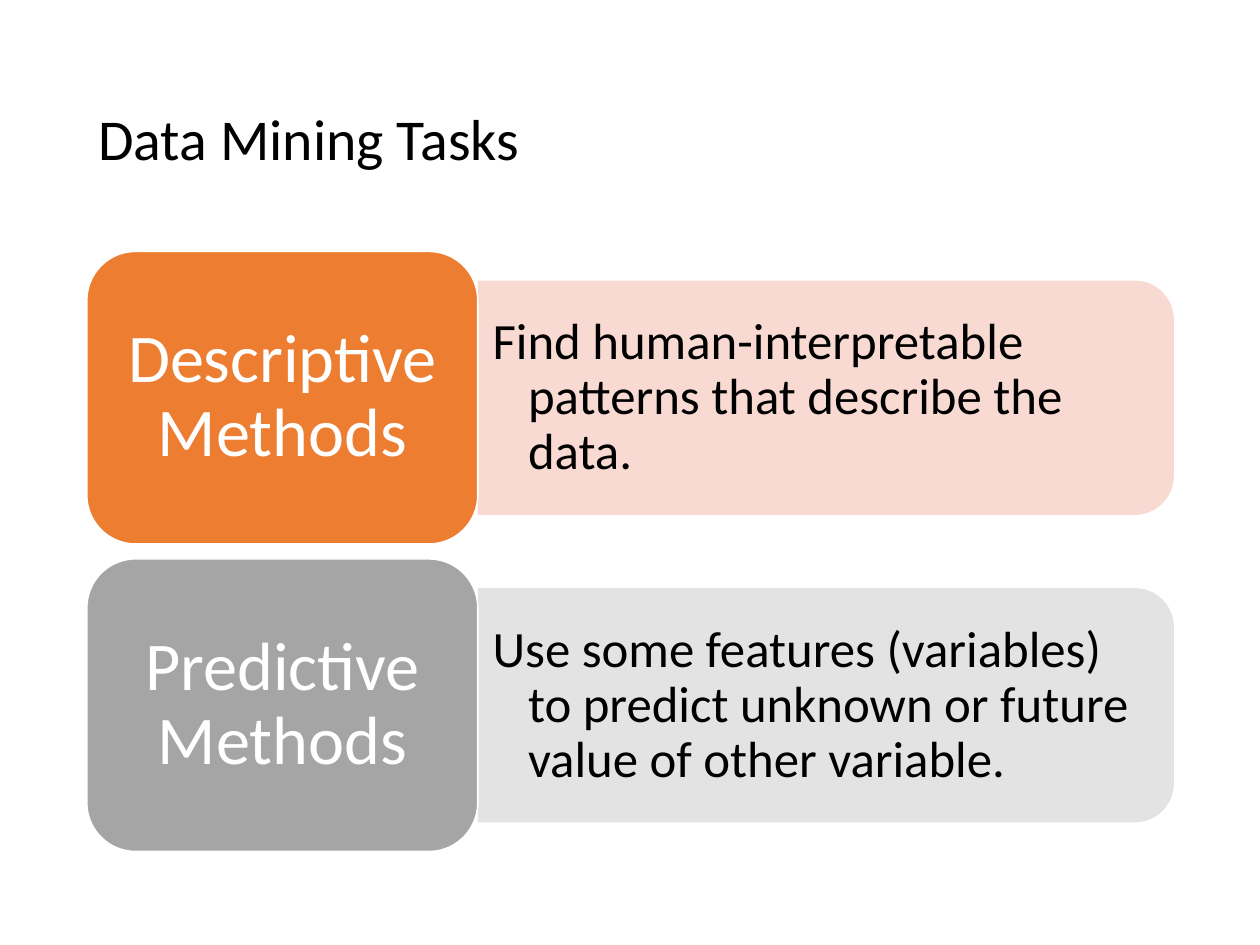
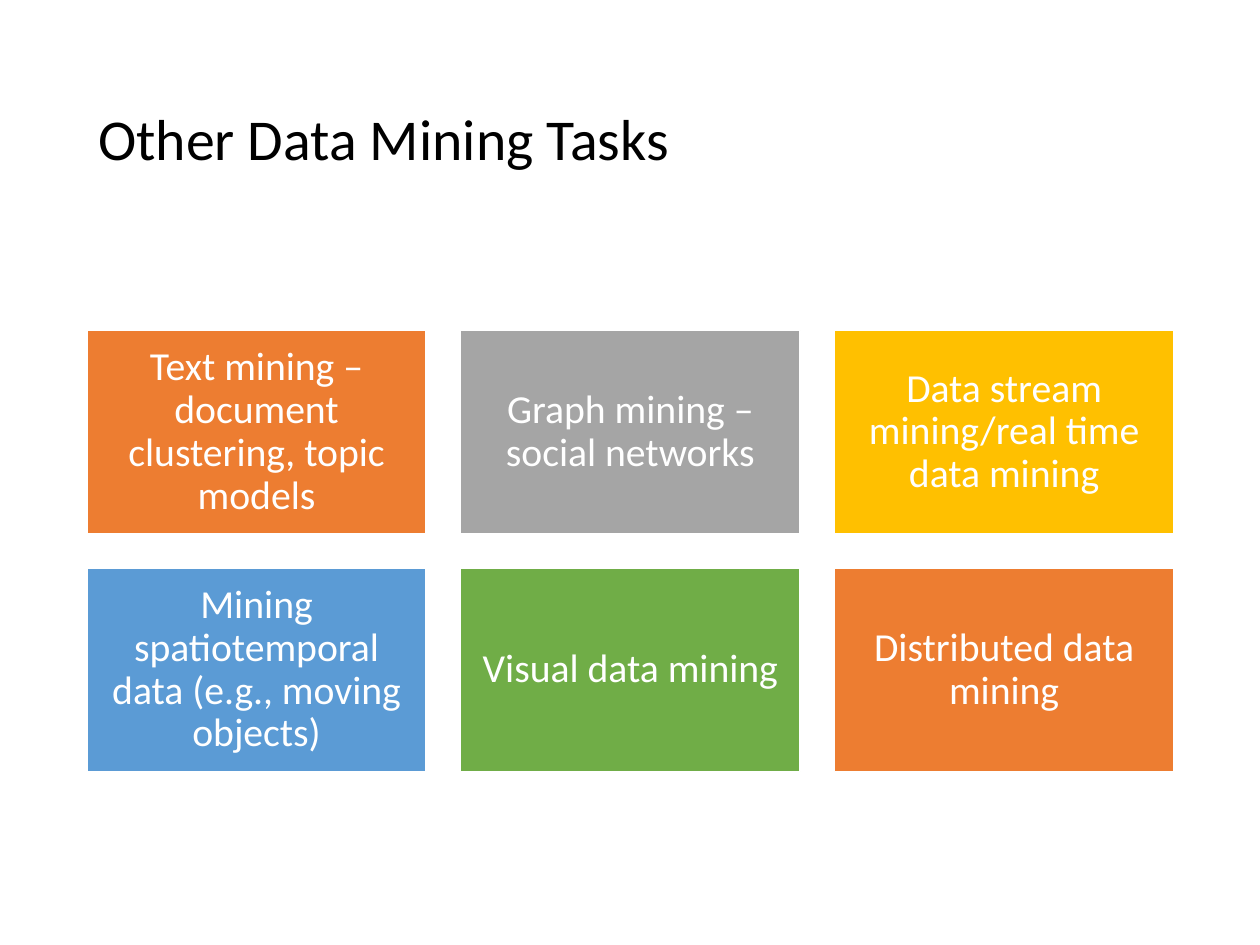
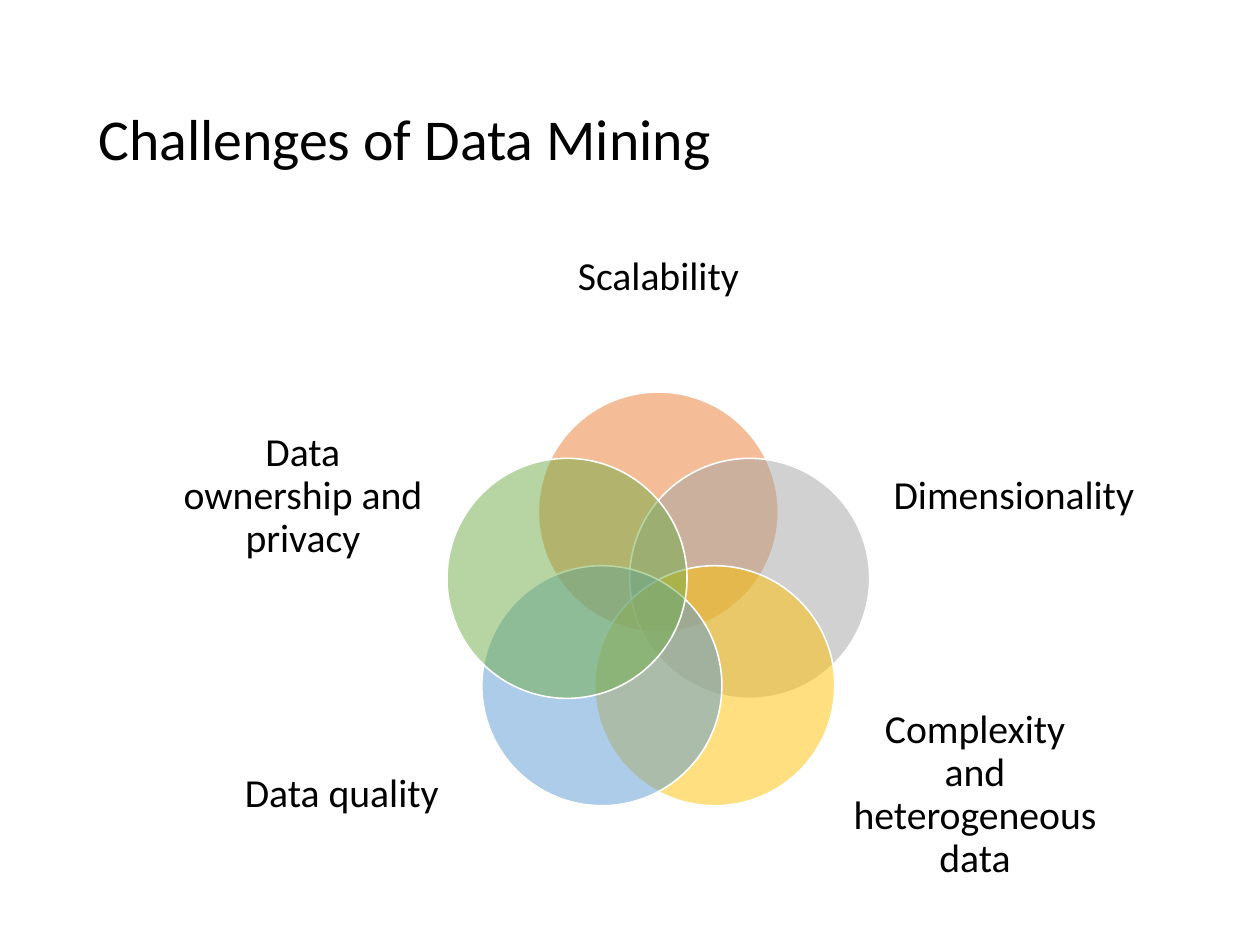
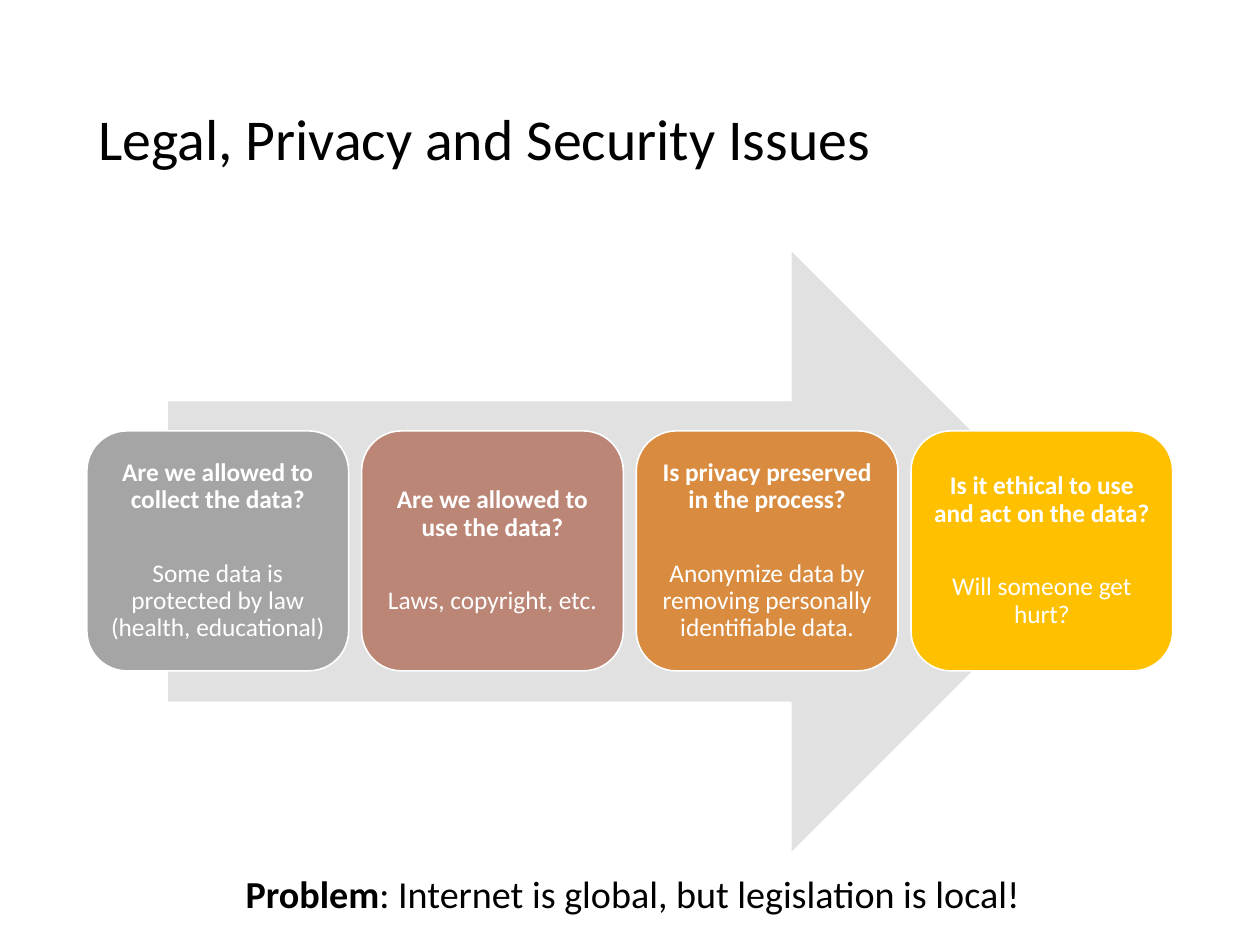
from math import cos, radians, sin

from lxml.etree import SubElement
from pptx import Presentation
from pptx.dml.color import RGBColor
from pptx.enum.shapes import MSO_SHAPE
from pptx.enum.text import MSO_ANCHOR, MSO_AUTO_SIZE, PP_ALIGN
from pptx.oxml.ns import qn
from pptx.util import Cm, Inches, Pt

FONT = "Calibri"
BLACK, WHITE = "000000", "FFFFFF"
ORANGE, GRAY, GOLD, BLUE, GREEN = "ED7D31", "A5A5A5", "FFC000", "5B9BD5", "70AD47"
LIGHT_ORANGE, LIGHT_GRAY = "F8D7CE", "E1E1E1"
BROWN, AMBER = "BB8676", "D98C3F"
LEFT, CONTENT_WIDTH = 0.76, 9.5


def paint(fill, color, alpha=100):
    """Set a solid fill from a hex string, with opacity in percent."""
    fill.solid()
    fill.fore_color.rgb = RGBColor.from_string(color)
    if alpha < 100:
        tone = fill._xPr.find(qn("a:solidFill"))[0]
        SubElement(tone, qn("a:alpha")).set("val", str(alpha * 1000))


def style_run(r, size, color, bold=False):
    """Give a run its font."""
    r.font.name, r.font.size, r.font.bold = FONT, Pt(size), bold
    r.font.color.rgb = RGBColor.from_string(color)


def write(tf, text, size, color, align=PP_ALIGN.CENTER, inset=(0, 0)):
    """Fill a text frame with wrapped, vertically centred text."""
    tf.text = text
    tf.word_wrap = True
    tf.auto_size = MSO_AUTO_SIZE.NONE
    tf.vertical_anchor = MSO_ANCHOR.MIDDLE
    tf.margin_left = tf.margin_right = Inches(inset[0])
    tf.margin_top = tf.margin_bottom = Inches(inset[1])
    for p in tf.paragraphs:
        p.alignment = align
        p.line_spacing = 0.9
        for r in p.runs:
            style_run(r, size, color)


def add_box(s, kind, x, y, w, h, color, alpha=100, line=WHITE):
    """Add a filled preset shape."""
    sp = s.shapes.add_shape(kind, Inches(x), Inches(y), Inches(w), Inches(h))
    sp.shadow.inherit = False
    paint(sp.fill, color, alpha)
    if line:
        paint(sp.line.fill, line)
        sp.line.width = Pt(1)
    else:
        sp.line.fill.background()
    return sp


def add_text(s, x, y, w, h, text, size, **options):
    """Add a black text box."""
    sp = s.shapes.add_textbox(Inches(x), Inches(y), Inches(w), Inches(h))
    write(sp.text_frame, text, size, BLACK, **options)
    return sp


def add_slide(prs, title):
    """Add a slide with the shared title style."""
    s = prs.slides.add_slide(prs.slide_layouts[5])
    sp = s.shapes.title
    sp.left, sp.top = Inches(LEFT), Inches(0.44)
    sp.width, sp.height = Inches(9.51), Inches(1.6)
    write(sp.text_frame, title, 36.4, BLACK, PP_ALIGN.LEFT, (0.1, 0.05))
    return s


def add_method(s, y, name, detail, color, tint):
    """Add a method card with its description bar."""
    card_w, card_h, bar_w, bar_h = 3.42, 2.56, 6.09, 2.05
    bar_x, middle = LEFT + card_w, y + card_h / 2
    bar = add_box(s, MSO_SHAPE.ROUND_2_SAME_RECTANGLE, bar_x + (bar_w - bar_h) / 2,
                  middle - bar_w / 2, bar_h, bar_w, tint, 90, None)
    bar.rotation = 90
    label = add_text(s, bar_x, middle - 0.92, 5.99, 1.85, detail, 32,
                     align=PP_ALIGN.LEFT, inset=(0.13, 0.07))
    pPr = label.text_frame.paragraphs[0]._p.get_or_add_pPr()
    pPr.set("marL", str(Inches(0.31)))
    pPr.set("indent", str(Inches(-0.31)))
    card = add_box(s, MSO_SHAPE.ROUNDED_RECTANGLE, LEFT, y, card_w, card_h, color)
    write(card.text_frame, name, 43, WHITE, inset=(0.18, 0.09))


def add_grid(s, items, columns=3):
    """Add a grid of coloured tiles."""
    w, h, gap = 2.97, 1.78, 0.3
    for i, (text, color) in enumerate(items):
        row, column = divmod(i, columns)
        tile = add_box(s, MSO_SHAPE.RECTANGLE, LEFT + column * (w + gap),
                       2.89 + row * (h + gap), w, h, color)
        write(tile.text_frame, text, 25, WHITE, inset=(0.1, 0.1))


def add_venn(s, items):
    """Add a ring of overlapping circles with outer labels."""
    size, ring, cx, cy = 2.1, 0.84, 5.76, 5.32
    for i, (text, color, box) in enumerate(items):
        angle = radians(360 / len(items) * i - 90)
        add_box(s, MSO_SHAPE.OVAL, cx + ring * cos(angle) - size / 2,
                cy + ring * sin(angle) - size / 2, size, size, color, 50)
        add_text(s, *box, text, 25)


def add_steps(s, items):
    """Add an arrow carrying a row of question cards."""
    add_box(s, MSO_SHAPE.RIGHT_ARROW, 1.47, 2.2, 8.08, 5.25, LIGHT_GRAY, line=None)
    w = 2.29
    pitch = (CONTENT_WIDTH - w) / (len(items) - 1)
    for i, (question, note, color) in enumerate(items):
        card = add_box(s, MSO_SHAPE.ROUNDED_RECTANGLE, LEFT + i * pitch, 3.77, w, 2.1, color)
        tf = card.text_frame
        write(tf, f"{question}\n{note}", 16, WHITE, inset=(0.07, 0.07))
        heading = tf.paragraphs[0]
        heading.space_after = Pt(29)
        heading.runs[0].font.bold = True


def add_remark(s, lead, rest):
    """Add a one-line remark with a bold lead."""
    sp = s.shapes.add_textbox(Inches(2.05), Inches(7.57), Inches(7.04), Inches(0.5))
    tf = sp.text_frame
    tf.word_wrap = False
    tf.auto_size = MSO_AUTO_SIZE.SHAPE_TO_FIT_TEXT
    for text, bold in ((lead, True), (rest, False)):
        r = tf.paragraphs[0].add_run()
        r.text = text
        style_run(r, 24, BLACK, bold)


def main():
    """Build and save the presentation."""
    prs = Presentation()
    prs.slide_width, prs.slide_height = Cm(28), Cm(21)

    s = add_slide(prs, "Data Mining Tasks")
    add_method(s, 2.2, "Descriptive Methods",
               "Find human-interpretable patterns that describe the data.",
               ORANGE, LIGHT_ORANGE)
    add_method(s, 4.89, "Predictive Methods",
               "Use some features (variables) to predict unknown or future value of other variable.",
               GRAY, LIGHT_GRAY)

    s = add_slide(prs, "Other Data Mining Tasks")
    add_grid(s, [
        ("Text mining – document clustering, topic models", ORANGE),
        ("Graph mining – social networks", GRAY),
        ("Data stream mining/real time data mining", GOLD),
        ("Mining spatiotemporal data (e.g., moving objects)", BLUE),
        ("Visual data mining", GREEN),
        ("Distributed data mining", ORANGE),
    ])

    s = add_slide(prs, "Challenges of Data Mining")
    add_venn(s, [
        ("Scalability", ORANGE, (4.54, 1.72, 2.44, 1.41)),
        ("Dimensionality", GRAY, (7.78, 3.58, 2.18, 1.53)),
        ("Complexity and heterogeneous data", GOLD, (7.44, 6.19, 2.18, 1.53)),
        ("Data quality", BLUE, (1.9, 6.19, 2.18, 1.53)),
        ("Data ownership and privacy", GREEN, (1.56, 3.58, 2.18, 1.53)),
    ])

    s = add_slide(prs, "Legal, Privacy and Security Issues")
    add_steps(s, [
        ("Are we allowed to collect the data?",
         "Some data is protected by law (health, educational)", GRAY),
        ("Are we allowed to use the data?", "Laws, copyright, etc.", BROWN),
        ("Is privacy preserved in the process?",
         "Anonymize data by removing personally identifiable data.", AMBER),
        ("Is it ethical to use and act on the data?", "Will someone get hurt?", GOLD),
    ])
    add_remark(s, "Problem", ": Internet is global, but legislation is local!")

    prs.save("out.pptx")


if __name__ == "__main__":
    main()
